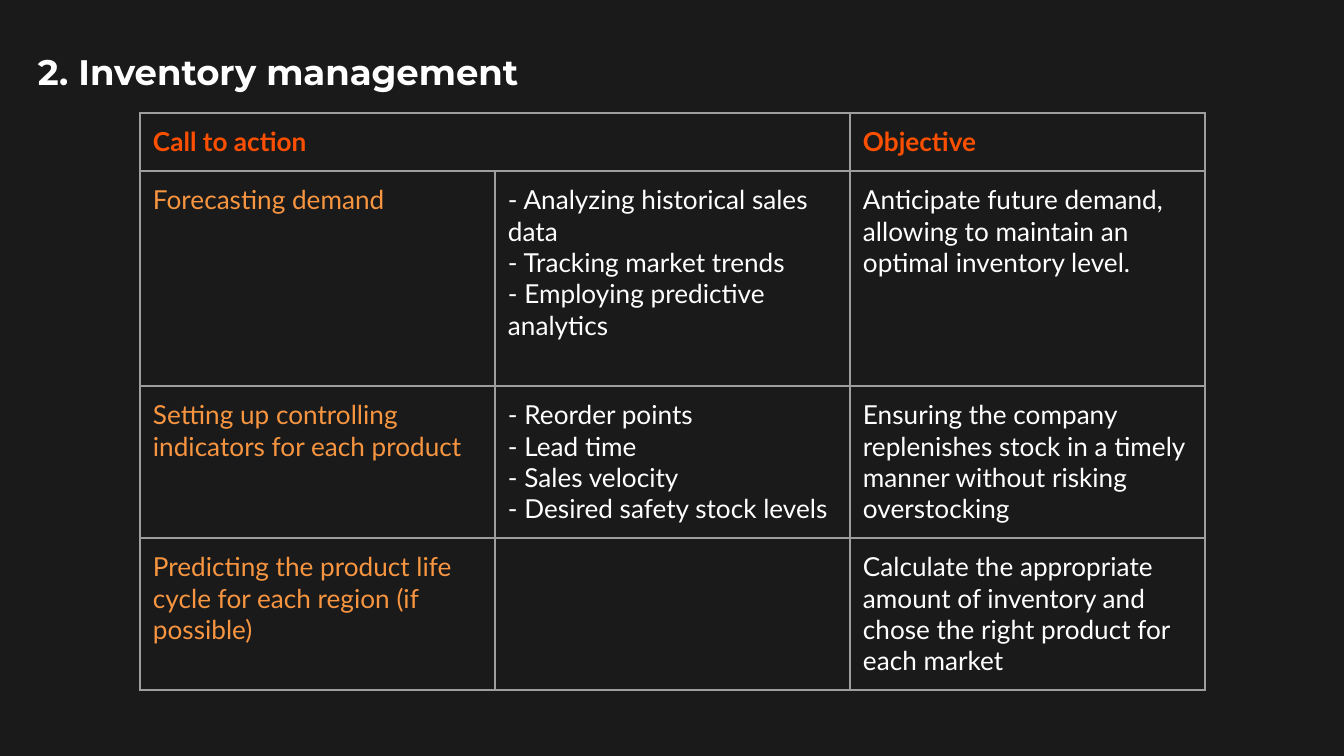
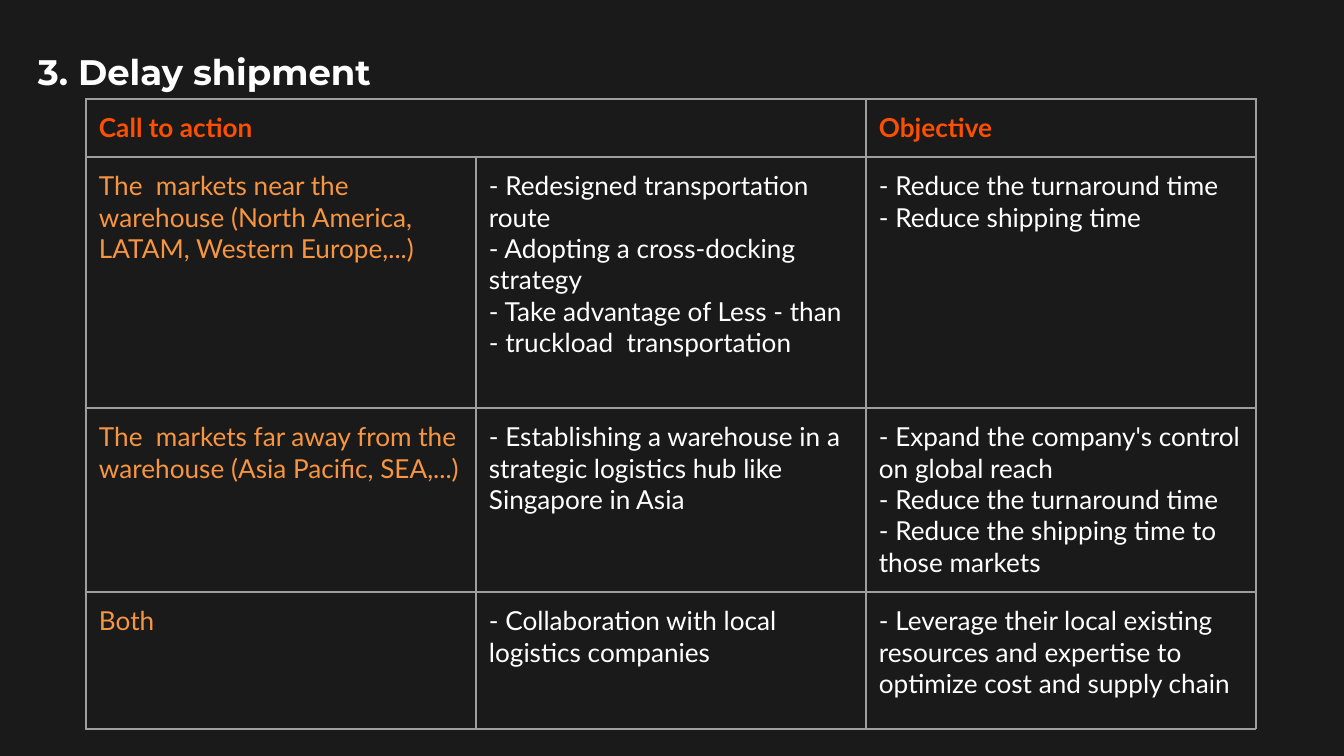
from lxml import etree
from pptx import Presentation
from pptx.dml.color import RGBColor
from pptx.enum.text import MSO_ANCHOR, MSO_AUTO_SIZE, PP_ALIGN
from pptx.oxml.ns import qn
from pptx.util import Emu, Pt

TOP = MSO_ANCHOR.TOP
GROW = MSO_AUTO_SIZE.SHAPE_TO_FIT_TEXT
JUSTIFY = PP_ALIGN.JUSTIFY

EMU_PER_PX = 914400 / 134.4
SLIDE_SIZE = (1344, 756)
TITLE_BOX = (25, 16, 606, 70)
INSET = 13
TITLE_ONLY = 5

BACKGROUND, WHITE, BORDER = "1A1A1A", "FFFFFF", "9E9E9E"
RED_ORANGE, ORANGE = "FC4F00", "F79540"

TITLE_FONT = {"name": "Montserrat", "size": Pt(19), "bold": True}
HEADER_FONT = {"name": "Lato", "size": Pt(14), "bold": True}
BODY_FONT = {**HEADER_FONT, "bold": False}

HEADER = ["Call to action", "", "Objective"]

# Each row: action, its steps, its objective; one line per paragraph
INVENTORY = [
    ["Forecasting demand",
     "- Analyzing historical sales data\n"
     "- Tracking market trends\n"
     "- Employing predictive analytics",
     "Anticipate future demand, allowing to maintain an optimal inventory level."],
    ["Setting up controlling indicators for each product",
     "- Reorder points\n- Lead time\n- Sales velocity\n- Desired safety stock levels",
     "Ensuring the company replenishes stock in a timely manner without risking overstocking"],
    ["Predicting the product life cycle for each region (if possible)",
     "",
     "Calculate the appropriate amount of inventory and chose the right product for each market"],
]
SHIPMENT = [
    ["The  markets near the warehouse (North America, LATAM, Western Europe,...)",
     "- Redesigned transportation route\n"
     "- Adopting a cross-docking strategy\n"
     "- Take advantage of Less - than - truckload  transportation",
     "- Reduce the turnaround time\n- Reduce shipping time"],
    ["The  markets far away from the warehouse (Asia Pacific, SEA,...)",
     "- Establishing a warehouse in a strategic logistics hub like Singapore in Asia",
     "- Expand the company's control on global reach\n"
     "- Reduce the turnaround time\n"
     "- Reduce the shipping time to those markets"],
    ["Both",
     "- Collaboration with local logistics companies",
     "- Leverage their local existing resources and expertise to optimize cost and supply chain"],
]


def px(length):
    return Emu(round(length * EMU_PER_PX))


def rgb(color):
    return RGBColor.from_string(color)


def apply(target, values):
    for name, value in values.items():
        setattr(target, name, value)


def set_insets(target):
    apply(target, {f"margin_{side}": px(INSET)
                   for side in ("left", "right", "top", "bottom")})


def write_run(paragraph, text, font, color):
    run = paragraph.add_run()
    run.text = text
    apply(run.font, font)
    run.font.color.rgb = rgb(color)


def add_title(slide, text):
    title = slide.shapes.title
    apply(title, dict(zip(("left", "top", "width", "height"), map(px, TITLE_BOX))))
    frame = title.text_frame
    set_insets(frame)
    apply(frame, {"word_wrap": True, "auto_size": GROW, "vertical_anchor": TOP})
    paragraph = frame.paragraphs[0]
    apply(paragraph, {"alignment": JUSTIFY, "line_spacing": 1.5})
    write_run(paragraph, text, TITLE_FONT, WHITE)


def add_borders(cell):
    properties = cell._tc.get_or_add_tcPr()
    for side in ("lnL", "lnR", "lnT", "lnB"):
        line = etree.SubElement(properties, qn(f"a:{side}"), w=str(Pt(0.75)))
        fill = etree.SubElement(line, qn("a:solidFill"))
        etree.SubElement(fill, qn("a:srgbClr"), val=BORDER)


def fill_cell(cell, text, font, color):
    set_insets(cell)
    add_borders(cell)
    cell.fill.background()
    if not text:
        return
    frame = cell.text_frame
    for index, line in enumerate(text.split("\n")):
        paragraph = frame.add_paragraph() if index else frame.paragraphs[0]
        write_run(paragraph, line, font, color)


def add_plan_table(slide, left, top, column_width, row_heights, plan):
    rows = [HEADER] + plan
    columns = len(HEADER)
    table = slide.shapes.add_table(
        len(rows), columns, px(left), px(top),
        px(column_width * columns), px(sum(row_heights))).table
    apply(table, {"first_row": False, "horz_banding": False})
    for column in table.columns:
        column.width = px(column_width)
    for row, height in zip(table.rows, row_heights):
        row.height = px(height)
    for r, texts in enumerate(rows):
        for c, text in enumerate(texts):
            font = BODY_FONT if r else HEADER_FONT
            color = RED_ORANGE if r == 0 else ORANGE if c == 0 else WHITE
            fill_cell(table.cell(r, c), text, font, color)
    # The first heading covers actions and steps
    table.cell(0, 0).merge(table.cell(0, 1))


def add_plan_slide(prs, title, *table_spec):
    slide = prs.slides.add_slide(prs.slide_layouts[TITLE_ONLY])
    add_title(slide, title)
    add_plan_table(slide, *table_spec)


def main():
    prs = Presentation()
    prs.slide_width, prs.slide_height = map(px, SLIDE_SIZE)

    # Shared dark background
    backdrop = prs.slide_master.background.fill
    backdrop.solid()
    backdrop.fore_color.rgb = rgb(BACKGROUND)

    add_plan_slide(prs, "2. Inventory management",
                   140, 113, 355, (58, 215, 152, 152), INVENTORY)
    add_plan_slide(prs, "3. Delay shipment",
                   86, 99, 390, (58, 251, 184, 137), SHIPMENT)
    prs.save("out.pptx")


if __name__ == "__main__":
    main()
